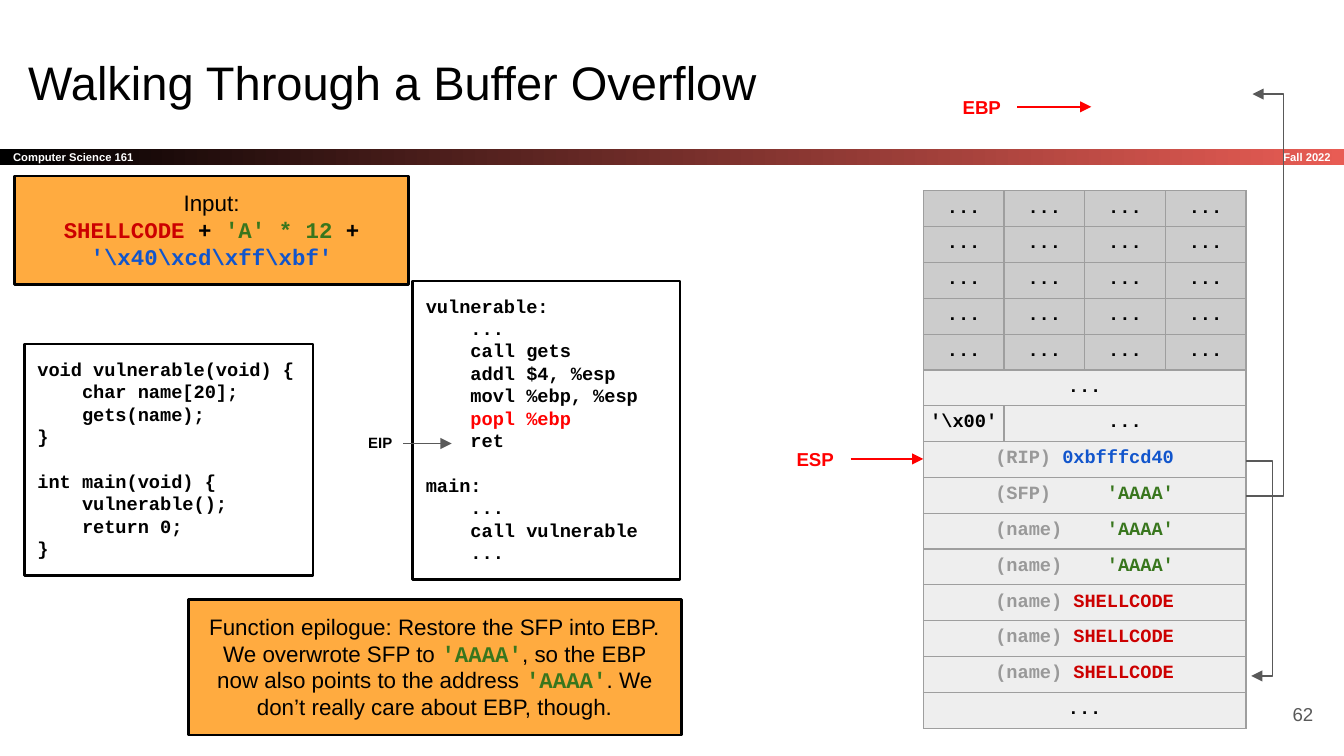
from lxml import etree
from pptx import Presentation
from pptx.dml.color import RGBColor
from pptx.enum.shapes import MSO_CONNECTOR, MSO_SHAPE
from pptx.enum.text import MSO_ANCHOR, MSO_AUTO_SIZE, PP_ALIGN
from pptx.oxml import parse_xml
from pptx.oxml.ns import nsdecls, qn
from pptx.util import Inches, Pt

LEFT, CENTER, RIGHT = PP_ALIGN.LEFT, PP_ALIGN.CENTER, PP_ALIGN.RIGHT
TOP, MIDDLE = MSO_ANCHOR.TOP, MSO_ANCHOR.MIDDLE
RECTANGLE, STRAIGHT = MSO_SHAPE.RECTANGLE, MSO_CONNECTOR.STRAIGHT
NO_AUTOFIT = MSO_AUTO_SIZE.NONE
BLACK, WHITE, GRAY, PALE = "000000", "FFFFFF", "595959", "999999"
RED, DARK_RED, GREEN, BLUE = "FF0000", "CC0000", "38761D", "1155CC"
ORANGE = "FFAB40"
SANS, MONO = "Arial", "Courier New"


def color(value):
    return RGBColor.from_string(value)


def write(frame, paragraphs, size, align=LEFT, anchor=TOP, inset=0.1):
    """Each paragraph is a list of (text, font name, colour, bold) runs."""
    frame.word_wrap = True
    frame.auto_size = NO_AUTOFIT
    frame.vertical_anchor = anchor
    frame.margin_left = frame.margin_right = Inches(inset)
    frame.margin_top = frame.margin_bottom = Inches(inset)
    for index, parts in enumerate(paragraphs):
        paragraph = frame.add_paragraph() if index else frame.paragraphs[0]
        paragraph.alignment = align
        for text, name, hex_color, bold in parts:
            # A vertical tab marks a line break inside the paragraph
            for number, piece in enumerate(text.split("\v")):
                if number:
                    paragraph.add_line_break()
                run = paragraph.add_run()
                run.text = piece
                run.font.name, run.font.size, run.font.bold = name, Pt(size), bold
                run.font.color.rgb = color(hex_color)


# A 16:9 slide
presentation = Presentation()
presentation.slide_width = Inches(10)
presentation.slide_height = Inches(10 * 9 / 16)
slide = presentation.slides.add_slide(presentation.slide_layouts[5])
shapes = slide.shapes

# Title
title = shapes.title
title.left, title.top, title.width, title.height = map(Inches, (0.11, 0.3, 9.32, 0.63))
write(title.text_frame, [[("Walking Through a Buffer Overflow", SANS, BLACK, False)]], 25.2)

# Course band
band = shapes.add_shape(RECTANGLE, 0, Inches(1.11), Inches(10), Inches(0.12))
band.shadow.inherit = False
band.line.fill.background()
band.fill.gradient()
band.fill.gradient_angle = 0
for stop, position, value in zip(band.fill.gradient_stops, (0, 1), (BLACK, "E85C54")):
    stop.position = position
    stop.color.rgb = color(value)
write(band.text_frame, [[("Computer Science 161", SANS, WHITE, True)]], 6, anchor=MIDDLE)

# Term and page number
for text, box, size, value, bold in (
    ("Fall 2022", (8.34, 1.11, 1.66, 0.12), 6, WHITE, True),
    ("62", (9.27, 5.1, 0.6, 0.43), 10, GRAY, False),
):
    text_box = shapes.add_textbox(*map(Inches, box))
    write(text_box.text_frame, [[(text, SANS, value, bold)]], size, RIGHT, MIDDLE)

# Code and explanation boxes
c_lines = ["void vulnerable(void) {", "    char name[20];", "    gets(name);", "}",
           "int main(void) {", "    vulnerable();", "    return 0;", "}"]
assembly_lines = ["vulnerable:", "    ...", "    call gets\v    addl $4, %esp",
                  "    movl %ebp, %esp", "    popl %ebp", "    ret",
                  "main:", "    ...", "    call vulnerable", "    ..."]
c_code, assembly = (
    [[(line, MONO, RED if "popl" in line else BLACK, True)] for line in lines]
    for lines in (c_lines, assembly_lines)
)
payload = [
    [("Input:", SANS, BLACK, False)],
    [("SHELLCODE", MONO, DARK_RED, True), (" + ", MONO, BLACK, True),
     ("'A' * 12", MONO, GREEN, True), (" + ", MONO, BLACK, True),
     (r"'\x40\xcd\xff\xbf'", MONO, BLUE, True)],
]
address = ("'AAAA'", MONO, GREEN, True)
explanation = [[
    ("Function epilogue: Restore the SFP into EBP. We overwrote SFP to ", SANS, BLACK, False),
    address,
    (", so the EBP now also points to the address ", SANS, BLACK, False),
    address,
    (". We don’t really care about EBP, though.", SANS, BLACK, False),
]]
for box, fill, paragraphs, size, align in (
    ((0.18, 2.56, 2.15, 1.72), WHITE, c_code, 10, LEFT),
    ((3.07, 2.09, 1.99, 2.22), WHITE, assembly, 10, LEFT),
    ((0.11, 1.31, 2.93, 0.81), ORANGE, payload, 12, CENTER),
    ((1.4, 4.46, 3.67, 1.01), ORANGE, explanation, 12, CENTER),
):
    shape = shapes.add_shape(RECTANGLE, *map(Inches, box))
    shape.shadow.inherit = False
    shape.fill.solid()
    shape.fill.fore_color.rgb = color(fill)
    shape.line.color.rgb = color(BLACK)
    shape.line.width = Pt(1.5)
    write(shape.text_frame, paragraphs, size, align)
    for paragraph in shape.text_frame.paragraphs:
        if "main" in paragraph.text:
            paragraph.space_before = Pt(12)

# Stack table: each row lists its cells, the last one spans the rest
dots = [("...", MONO, BLACK, True)]
stack = [[dots] * 4] * 5 + [[dots], [[(r"'\x00'", MONO, BLACK, True)], dots]]
for label, value, value_color in [
    ("(RIP) ", "0xbfffcd40", BLUE),
    ("(SFP)     ", "'AAAA'", GREEN),
    *[("(name)    ", "'AAAA'", GREEN)] * 2,
    *[("(name) ", "SHELLCODE", DARK_RED)] * 3,
]:
    stack.append([[(label, MONO, PALE, True), (value, MONO, value_color, True)]])
stack.append([dots])

table = shapes.add_table(len(stack), 4, Inches(6.87), Inches(1.42), Inches(2.4), Inches(4)).table
table.first_row = table.horz_banding = False
for row, cells in enumerate(stack):
    for column in range(4):
        cell = table.cell(row, column)
        cell.margin_left = cell.margin_right = Inches(0.02)
        cell.margin_top = cell.margin_bottom = Inches(0.05)
        properties = cell._tc.get_or_add_tcPr()
        for side in ("lnL", "lnR", "lnT", "lnB"):
            properties.append(parse_xml(
                f'<a:{side} {nsdecls("a")} w="9525"><a:solidFill>'
                f'<a:srgbClr val="9E9E9E"/></a:solidFill></a:{side}>'))
        cell.fill.solid()
        cell.fill.fore_color.rgb = color("CCCCCC" if row < 5 else "EEEEEE")
        if column >= len(cells):
            continue
        paragraph = cell.text_frame.paragraphs[0]
        paragraph.alignment = CENTER
        for text, name, value, bold in cells[column]:
            run = paragraph.add_run()
            run.text = text
            run.font.name, run.font.size, run.font.bold = name, Pt(10), bold
            run.font.color.rgb = color(value)
    if len(cells) < 4:
        table.cell(row, len(cells) - 1).merge(table.cell(row, 3))

# Register labels with their arrows
arrows = []
for text, box, size, inset, text_color, line_color, end in (
    ("EIP", (2.66, 3.18, 0.34, 0.24), 8, 0.05, BLACK, GRAY, 3.36),
    ("EBP", (7.04, 0.61, 0.53, 0.37), 10, 0.1, RED, RED, 8.12),
    ("ESP", (5.8, 3.23, 0.53, 0.37), 10, 0.1, RED, RED, 6.87),
):
    label = shapes.add_textbox(*map(Inches, box))
    write(label.text_frame, [[(text, SANS, text_color, True)]], size, CENTER, inset=inset)
    middle = label.top + label.height // 2
    arrow = shapes.add_connector(STRAIGHT, label.left + label.width, middle, Inches(end), middle)
    arrow.begin_connect(label, 3)
    etree.SubElement(arrow._element.spPr, qn("a:effectLst"))
    arrows.append((arrow, line_color))

# Pointers from saved registers to their targets
for start, end, side, tip in ((3.69, 0.7, 9.55, 9.32), (3.43, 5.03, 9.47, 9.31)):
    builder = shapes.build_freeform(Inches(9.27), Inches(start))
    corners = ((side, start), (side, end), (tip, end))
    builder.add_line_segments([(Inches(x), Inches(y)) for x, y in corners], close=False)
    pointer = builder.convert_to_shape()
    pointer.shadow.inherit = False
    pointer.fill.background()
    arrows.append((pointer, GRAY))

# Arrow lines and heads
for arrow, line_color in arrows:
    arrow.line.color.rgb = color(line_color)
    arrow.line.width = Pt(0.75)
    etree.SubElement(arrow.line._get_or_add_ln(), qn("a:tailEnd"), type="triangle")

presentation.save("out.pptx")
